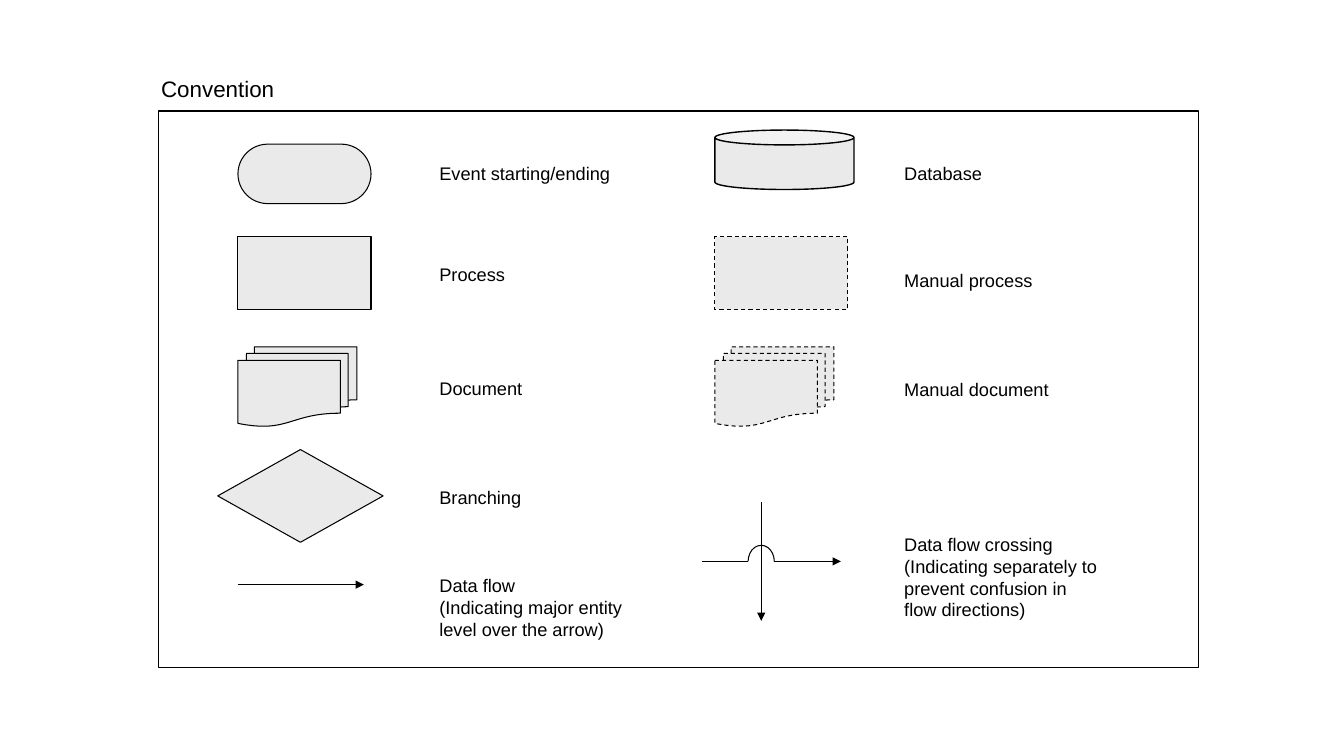
from pptx import Presentation
from pptx.dml.color import RGBColor
from pptx.enum.dml import MSO_LINE
from pptx.enum.shapes import MSO_CONNECTOR, MSO_SHAPE as SH
from pptx.enum.text import MSO_AUTO_SIZE
from pptx.oxml.ns import qn
from pptx.util import Inches, Pt
from lxml import etree

prs = Presentation()
prs.slide_width, prs.slide_height = Inches(13.33), Inches(7.5)
s = prs.slides.add_slide(prs.slide_layouts[6])

# Grid: symbol and label columns, left and right
SYM_L, LABEL_L, SYM_R, LABEL_R = 2.36, 4.26, 7.09, 8.87
LABEL_W, LINE_H, PAD = 2.17, 0.22, 0.1
CROSS_X, CROSS_Y, HOP = 7.55, 5.57, 0.13


def rgb(color):
    return RGBColor.from_string(color)


def add_symbol(kind, x, y, w, h, weight=0.75, dashed=False, fill="EAEAEA"):
    sp = s.shapes.add_shape(kind, Inches(x), Inches(y), Inches(w), Inches(h))
    sp.shadow.inherit = False
    if fill:
        sp.fill.solid()
        sp.fill.fore_color.rgb = rgb(fill)
    else:
        sp.fill.background()
    sp.line.color.rgb = rgb("000000")
    sp.line.width = Pt(weight)
    if dashed:
        sp.line.dash_style = MSO_LINE.DASH
    return sp


# Frame
add_symbol(SH.RECTANGLE, 1.57, 1.1, 10.32, 5.52, weight=1, fill=None)

# Symbols found in one column only
event = add_symbol(SH.ROUNDED_RECTANGLE, SYM_L, 1.43, 1.32, 0.59)
event.adjustments[0] = 0.5
add_symbol(SH.DIAMOND, 2.16, 4.46, 1.64, 0.92)
database = add_symbol(SH.CAN, SYM_R, 1.29, 1.38, 0.59, weight=1)
database.adjustments[0] = 0.25

# Process and document: solid on the left, dashed for manual on the right
for x, dashed in [(SYM_L, False), (SYM_R, True)]:
    add_symbol(SH.RECTANGLE, x, 2.35, 1.32, 0.72, dashed=dashed)
    add_symbol(SH.FLOWCHART_MULTIDOCUMENT, x, 3.44, 1.18, 0.79, dashed=dashed)

# Half circle where one flow hops over the other
hop = add_symbol(SH.ARC, CROSS_X - HOP, 5.41, 2 * HOP, 0.32, fill=None)
hop.adjustments[0], hop.adjustments[1] = 108, 0

# Flow lines: start, end, arrowhead
flows = [
    (SYM_L, 5.8, 3.61, 5.8, True),
    (CROSS_X, 4.98, CROSS_X, 6.16, True),
    (6.96, CROSS_Y, CROSS_X - HOP, CROSS_Y, False),
    (CROSS_X + HOP, CROSS_Y, 8.34, CROSS_Y, True),
]
for x1, y1, x2, y2, arrow in flows:
    flow = s.shapes.add_connector(MSO_CONNECTOR.STRAIGHT, Inches(x1), Inches(y1),
                                  Inches(x2), Inches(y2))
    flow.line.color.rgb = rgb("000000")
    flow.line.width = Pt(0.75)
    if arrow:
        etree.SubElement(flow.line._get_or_add_ln(), qn("a:tailEnd"), type="triangle")
    etree.SubElement(flow._element.spPr, qn("a:effectLst"))

# Title and labels: left, top, size, paragraphs
texts = [
    (1.5, 0.7, 16, ["Convention"]),
    (LABEL_L, 1.56, 13, ["Event starting/ending"]),
    (LABEL_L, 2.56, 13, ["Process"]),
    (LABEL_L, 3.69, 13, ["Document"]),
    (LABEL_L, 4.77, 13, ["Branching"]),
    (LABEL_L, 5.65, 13, ["Data flow", "(Indicating major entity level over the arrow)"]),
    (LABEL_R, 1.56, 13, ["Database"]),
    (LABEL_R, 2.62, 13, ["Manual process"]),
    (LABEL_R, 3.7, 13, ["Manual document"]),
    (LABEL_R, 5.24, 13, ["Data flow crossing",
                         "(Indicating separately to prevent confusion in flow directions)"]),
]
for x, y, size, paragraphs in texts:
    lines = sum(1 + len(text) // 24 for text in paragraphs)
    box = s.shapes.add_textbox(Inches(x), Inches(y), Inches(LABEL_W),
                               Inches(PAD + LINE_H * lines * size / 13))
    tf = box.text_frame
    tf.word_wrap = True
    tf.auto_size = MSO_AUTO_SIZE.SHAPE_TO_FIT_TEXT
    for i, text in enumerate(paragraphs):
        p = tf.add_paragraph() if i else tf.paragraphs[0]
        r = p.add_run()
        r.text = text
        r.font.name, r.font.size = "Arial", Pt(size)
        r.font.color.rgb = rgb("000000")

prs.save("out.pptx")
